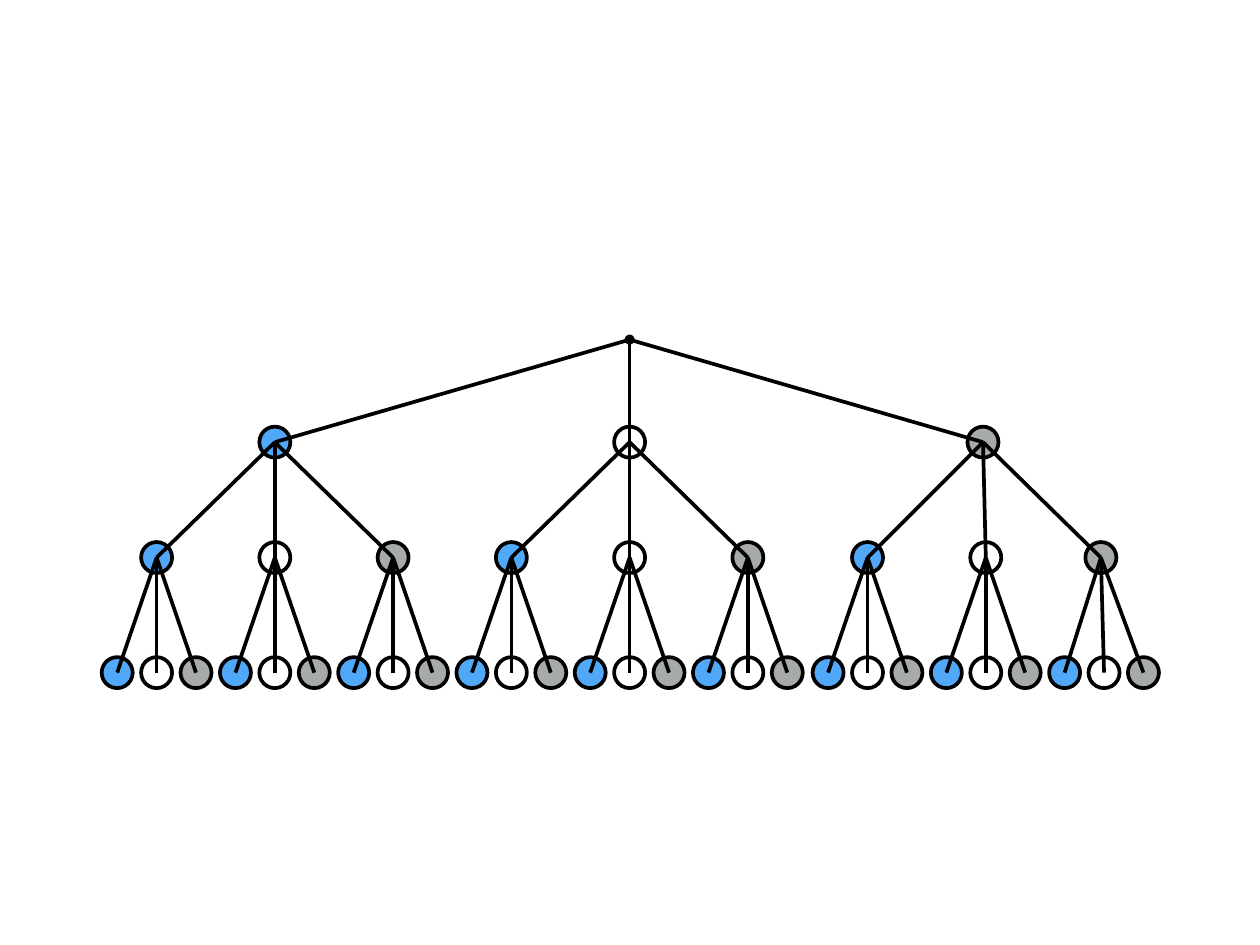
from dataclasses import dataclass

from lxml.etree import SubElement
from pptx import Presentation
from pptx.dml.color import RGBColor
from pptx.enum.shapes import MSO_CONNECTOR as Connector, MSO_SHAPE as Shape
from pptx.oxml.ns import qn
from pptx.slide import Slide
from pptx.util import Cm, Pt

BLACK = RGBColor(0x00, 0x00, 0x00)
BLUE = RGBColor(0x51, 0xA8, 0xF9)
WHITE = RGBColor(0xFF, 0xFF, 0xFF)
GREY = RGBColor(0xA6, 0xAA, 0xA9)
BRANCH_COLORS = (BLUE, WHITE, GREY)

LINE_WIDTH = Pt(3)
FIRST_LEAF_X = 3.36
LEAF_PITCH = 1.13
LEVEL_Y = (9.74, 12.68, 15.99, 19.29)
LEAF_LEVEL = len(LEVEL_Y) - 1
NODE_DIAMETER = 0.89
ROOT_DIAMETER = 0.18

# Small sideways shifts of the right-hand subtree: (level, index) -> cm
NUDGES = {(1, 2): -0.04, (2, 6): 0.04, (2, 7): 0.04, (2, 8): -0.05}
NUDGES.update({(LEAF_LEVEL, index): 0.04 for index in range(18, 27)})


@dataclass(frozen=True)
class Node:
    """A tree node, with its centre and diameter in centimetres."""
    x: float
    y: float
    diameter: float
    color: RGBColor


def make_node(level: int, index: int) -> Node:
    """Centre the node above the middle leaf of its subtree."""
    leaf_count = 3 ** (LEAF_LEVEL - level)
    middle_leaf = index * leaf_count + leaf_count // 2
    x = FIRST_LEAF_X + middle_leaf * LEAF_PITCH + NUDGES.get((level, index), 0)
    if level == 0:
        return Node(x, LEVEL_Y[level], ROOT_DIAMETER, BLACK)
    return Node(x, LEVEL_Y[level], NODE_DIAMETER, BRANCH_COLORS[index % 3])


def draw_node(slide: Slide, node: Node) -> None:
    radius = node.diameter / 2
    circle = slide.shapes.add_shape(
        Shape.OVAL, Cm(node.x - radius), Cm(node.y - radius),
        Cm(node.diameter), Cm(node.diameter))
    circle.shadow.inherit = False
    circle.fill.solid()
    circle.fill.fore_color.rgb = node.color
    circle.line.color.rgb = BLACK
    circle.line.width = LINE_WIDTH


def draw_branch(slide: Slide, child: Node, parent: Node) -> None:
    branch = slide.shapes.add_connector(
        Connector.STRAIGHT, Cm(child.x), Cm(child.y), Cm(parent.x), Cm(parent.y))
    branch.line.color.rgb = BLACK
    branch.line.width = LINE_WIDTH
    SubElement(branch._element.spPr, qn("a:effectLst"))


def main() -> None:
    presentation = Presentation()
    presentation.slide_width = Cm(36.12)
    presentation.slide_height = Cm(27.1)
    slide = presentation.slides.add_slide(presentation.slide_layouts[6])

    levels = [[make_node(level, index) for index in range(3 ** level)]
              for level in range(len(LEVEL_Y))]
    for nodes in reversed(levels):
        for node in nodes:
            draw_node(slide, node)
    for parents, children in zip(levels, levels[1:]):
        for index, child in enumerate(children):
            draw_branch(slide, child, parents[index // 3])

    presentation.save("out.pptx")


if __name__ == "__main__":
    main()
